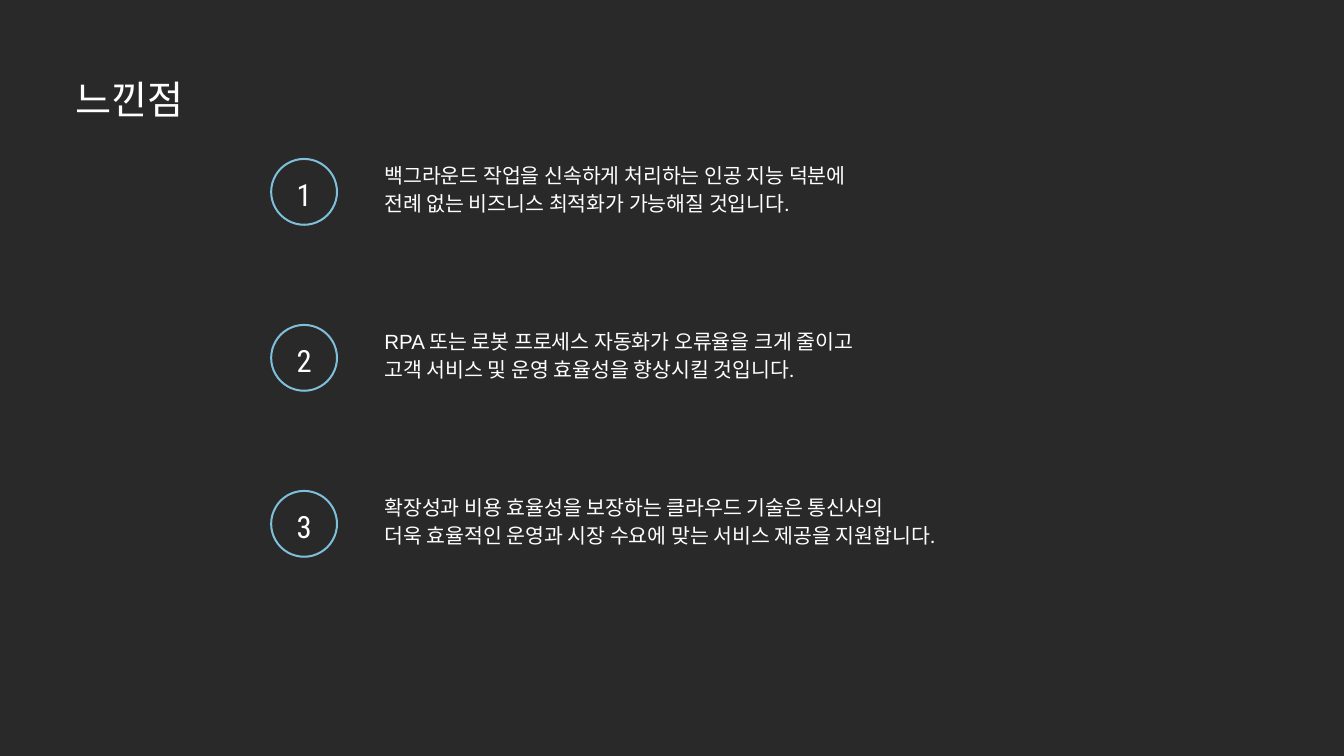
from pptx import Presentation
from pptx.dml.color import RGBColor
from pptx.enum.shapes import MSO_SHAPE
from pptx.enum.text import MSO_AUTO_SIZE, PP_ALIGN
from pptx.util import Inches, Pt

COLORS = {"background": "292929", "text": "FFFFFF", "ring": "7EC0DA"}
BODY_FONT = "Calibri"
NUMBER_FONT = "Roboto Condensed"

FIRST_TOP = 2.35
ROW_STEP = 2.47
RING_SIZE = 1.01
RING_THICKNESS = 0.03

# Each takeaway is a list of (line, font) pairs.
TAKEAWAYS = [
    [("백그라운드 작업을 신속하게 처리하는 인공 지능 덕분에", BODY_FONT),
     ("전례 없는 비즈니스 최적화가 가능해질 것입니다.", BODY_FONT)],
    [("RPA 또는 로봇 프로세스 자동화가 오류율을 크게 줄이고", "Arial"),
     ("고객 서비스 및 운영 효율성을 향상시킬 것입니다.", BODY_FONT)],
    [("확장성과 비용 효율성을 보장하는 클라우드 기술은 통신사의", BODY_FONT),
     ("더욱 효율적인 운영과 시장 수요에 맞는 서비스 제공을 지원합니다.", BODY_FONT)],
]


def color(name):
    return RGBColor.from_string(COLORS[name])


def add_text(shapes, left, top, width, height, lines, size, spacing,
             align=PP_ALIGN.LEFT):
    """Add a text box without margins, one paragraph per (line, font) pair."""
    box = shapes.add_textbox(Inches(left), Inches(top), Inches(width), Inches(height))
    frame = box.text_frame
    frame.margin_left = frame.margin_right = 0
    frame.margin_top = frame.margin_bottom = 0
    frame.word_wrap = True
    frame.auto_size = MSO_AUTO_SIZE.SHAPE_TO_FIT_TEXT
    frame.text = "\n".join(line for line, _ in lines)
    for paragraph, (_, font_name) in zip(frame.paragraphs, lines):
        paragraph.alignment = align
        paragraph.line_spacing = Pt(spacing)
        paragraph.font.name = font_name
        paragraph.font.size = Pt(size)
        paragraph.font.color.rgb = color("text")


def add_number_badge(slide, number, top):
    badge = slide.shapes.add_group_shape()
    ring = badge.shapes.add_shape(
        MSO_SHAPE.DONUT, Inches(4.02), Inches(top), Inches(RING_SIZE), Inches(RING_SIZE))
    ring.adjustments[0] = RING_THICKNESS / RING_SIZE
    ring.shadow.inherit = False
    ring.fill.solid()
    ring.fill.fore_color.rgb = color("ring")
    ring.line.fill.background()
    add_text(badge.shapes, 4.17, top + 0.18, 0.71, 0.59,
             [(str(number), NUMBER_FONT)], 32.8, 45.9, PP_ALIGN.CENTER)


def add_takeaway(slide, number, lines):
    top = FIRST_TOP + (number - 1) * ROW_STEP
    add_number_badge(slide, number, top)
    add_text(slide.shapes, 5.72, top + 0.01, 8.88, 0.9, lines, 22, 30.8)


def main():
    prs = Presentation()
    prs.slide_width = Inches(20)
    prs.slide_height = Inches(11.25)
    slide = prs.slides.add_slide(prs.slide_layouts[6])
    slide.background.fill.solid()
    slide.background.fill.fore_color.rgb = color("background")

    add_text(slide.shapes, 1.12, 1.01, 5.43, 0.89, [("느낀점", BODY_FONT)], 42, 58.8)
    for number, lines in enumerate(TAKEAWAYS, start=1):
        add_takeaway(slide, number, lines)

    prs.save("out.pptx")


if __name__ == "__main__":
    main()
